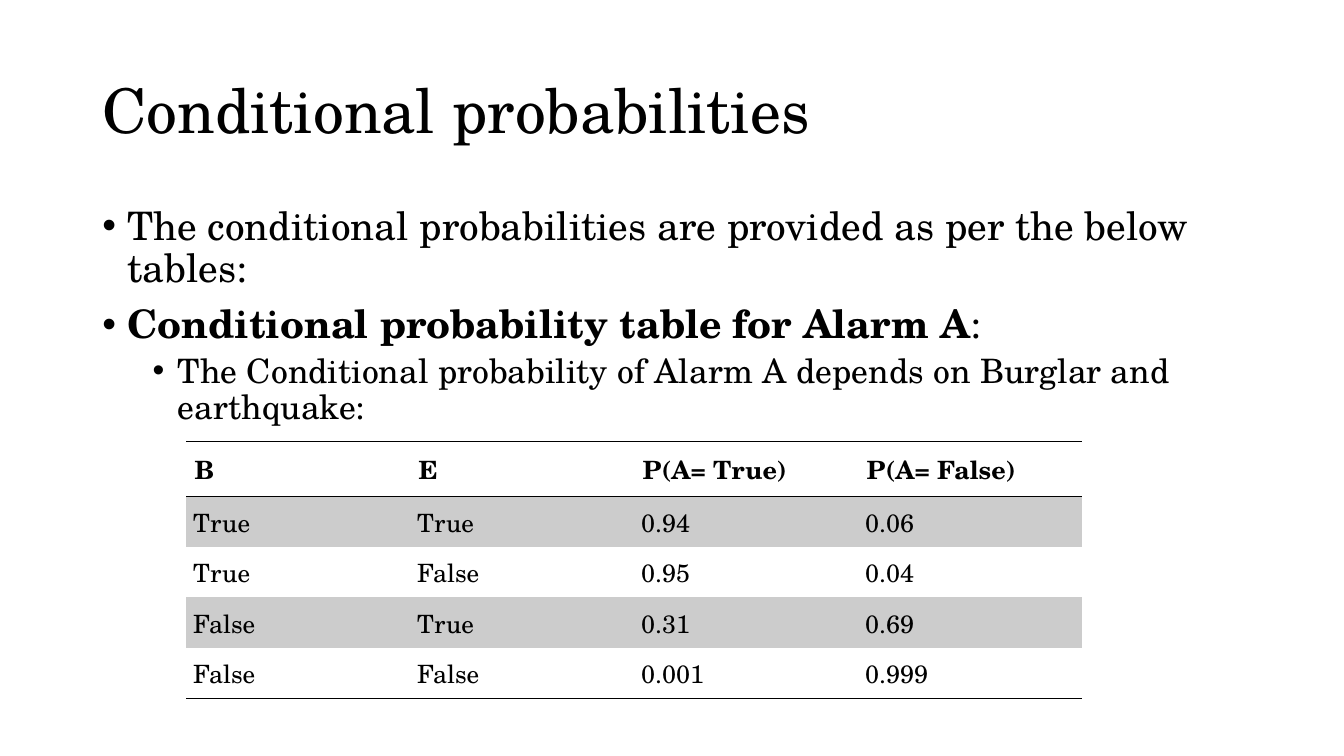
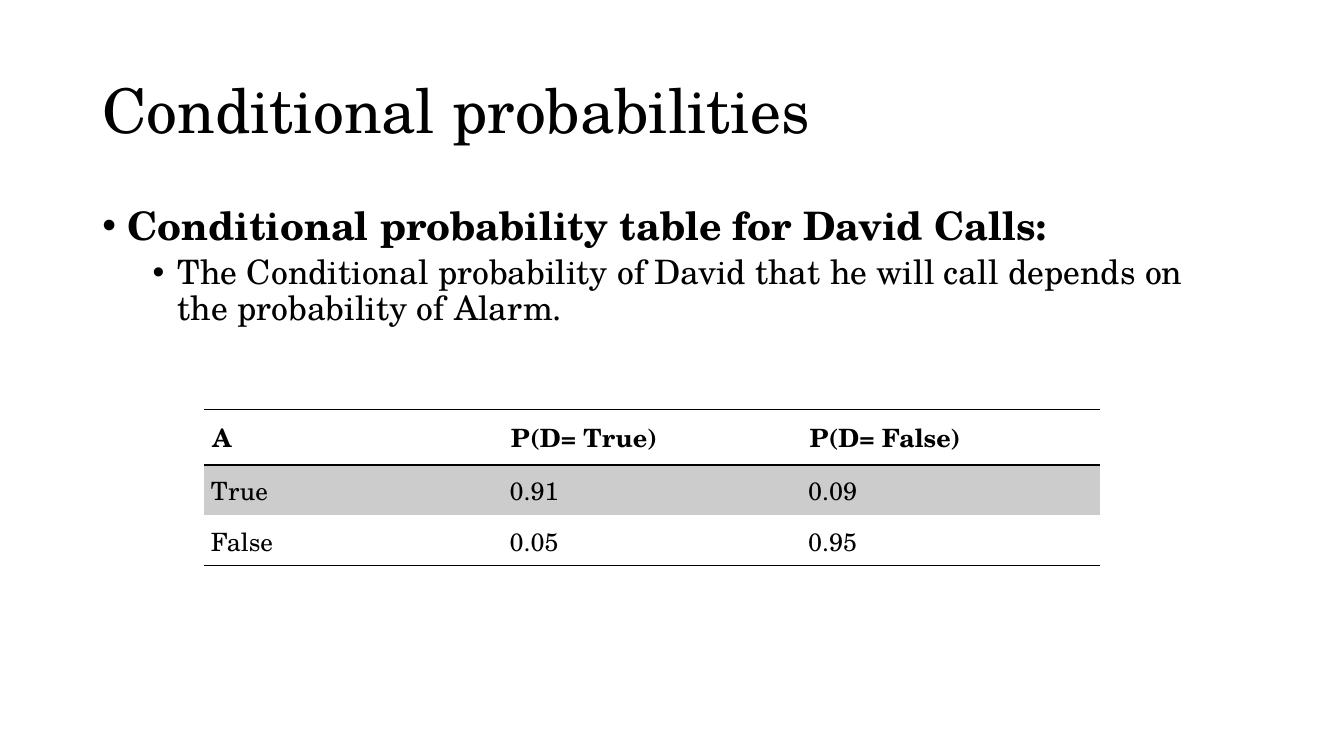
from dataclasses import dataclass

from lxml.etree import SubElement as Sub
from pptx import Presentation
from pptx.dml.color import RGBColor
from pptx.enum.text import MSO_ANCHOR as Anchor
from pptx.oxml.ns import qn
from pptx.slide import Slide
from pptx.table import _Cell as Cell
from pptx.text.text import TextFrame
from pptx.util import Pt

INK = RGBColor(0x00, 0x00, 0x00)
BAND = RGBColor(0xCC, 0xCC, 0xCC)
FONT = "TeX Gyre Schola"
PLAIN = "{2D5ABB26-0587-4C30-8999-92F81FD0307C}"  # no style, no grid

LEFT, WIDE = 66, 828
GRID_WIDE = 640
HEAD_HIGH, ROW_HIGH = 39.5, 36


@dataclass(frozen=True)
class Level:
    size: float
    margin: float
    before: float


LEVELS = (Level(28, 18, 10), Level(24, 54, 5))


@dataclass(frozen=True)
class Line:
    """A bullet: a bold lead, then plain text."""
    lead: str = ""
    rest: str = ""
    level: int = 0


@dataclass(frozen=True)
class Grid:
    left: float
    top: float
    rows: tuple[tuple[str, ...], ...]


@dataclass(frozen=True)
class Page:
    title: str
    lines: tuple[Line, ...]
    grid: Grid


PAGES = (
    Page(
        "Conditional probabilities",
        (
            Line(rest="The conditional probabilities are provided as per the below tables:"),
            Line("Conditional probability table for Alarm A", ":"),
            Line(rest="The Conditional probability of Alarm A depends on Burglar and earthquake:",
                 level=1),
        ),
        Grid(133, 315.3, (
            ("B", "E", "P(A= True)", "P(A= False)"),
            ("True", "True", "0.94", "0.06"),
            ("True", "False", "0.95", "0.04"),
            ("False", "True", "0.31", "0.69"),
            ("False", "False", "0.001", "0.999"),
        )),
    ),
    Page(
        "Conditional probabilities",
        (
            Line("Conditional probability table for David Calls:"),
            Line(rest="The Conditional probability of David that he will call depends on "
                      "the probability of Alarm.", level=1),
        ),
        Grid(145.7, 292.7, (
            ("A", "P(D= True)", "P(D= False)"),
            ("True", "0.91", "0.09"),
            ("False", "0.05", "0.95"),
        )),
    ),
)


def style(run, size: float, bold: bool = False) -> None:
    font = run.font
    font.name, font.size, font.bold = FONT, Pt(size), bold
    font.color.rgb = INK


def add_box(slide: Slide, top: float, high: float) -> TextFrame:
    box = slide.shapes.add_textbox(Pt(LEFT), Pt(top), Pt(WIDE), Pt(high))
    box.text_frame.word_wrap = True
    return box.text_frame


def add_title(slide: Slide, text: str) -> None:
    frame = add_box(slide, 28.75, 104.4)
    frame.vertical_anchor = Anchor.MIDDLE
    frame.text = text
    para = frame.paragraphs[0]
    para.line_spacing = 0.9
    style(para.runs[0], 44)


def add_lines(slide: Slide, lines: tuple[Line, ...]) -> None:
    frame = add_box(slide, 143.75, 342.6)
    for num, line in enumerate(lines):
        para = frame.add_paragraph() if num else frame.paragraphs[0]
        level = LEVELS[line.level]
        para.level = line.level
        para.line_spacing = 0.9
        para.space_before = Pt(level.before)
        props = para._p.get_or_add_pPr()
        props.set("marL", str(Pt(level.margin)))
        props.set("indent", str(-Pt(18)))
        Sub(props, qn("a:buFont"), typeface="Arial")
        Sub(props, qn("a:buChar"), char="•")
        for text, bold in ((line.lead, True), (line.rest, False)):
            if text:
                run = para.add_run()
                run.text = text
                style(run, level.size, bold)


def rule(cell: Cell, side: str) -> None:
    """Draw a thin line on one side of a cell: T or B."""
    edge = Sub(cell._tc.get_or_add_tcPr(), qn(f"a:ln{side}"), w=str(Pt(1)))
    Sub(Sub(edge, qn("a:solidFill")), qn("a:srgbClr"), val=str(INK))


def fill_cell(cell: Cell, text: str, row: int, last: int) -> None:
    head = row == 0
    cell.text = text
    style(cell.text_frame.paragraphs[0].runs[0], 18, head)
    pad = Pt(6 if head else 5)
    cell.margin_left = cell.margin_right = pad
    cell.margin_top = cell.margin_bottom = pad
    cell.vertical_anchor = Anchor.TOP if head else Anchor.MIDDLE
    if head:
        rule(cell, "T")
    if row in (0, last):
        rule(cell, "B")
    if row % 2:
        cell.fill.solid()
        cell.fill.fore_color.rgb = BAND
    else:
        cell.fill.background()


def add_grid(slide: Slide, grid: Grid) -> None:
    count, cols = len(grid.rows), len(grid.rows[0])
    high = HEAD_HIGH + ROW_HIGH * (count - 1)
    shape = slide.shapes.add_table(
        count, cols, Pt(grid.left), Pt(grid.top), Pt(GRID_WIDE), Pt(high))
    for mark in shape.element.iter(qn("a:tableStyleId")):
        mark.text = PLAIN
    table = shape.table
    table.horz_banding = False
    for col in table.columns:
        col.width = Pt(GRID_WIDE / cols)
    for row, texts in enumerate(grid.rows):
        table.rows[row].height = Pt(ROW_HIGH if row else HEAD_HIGH)
        for col, text in enumerate(texts):
            fill_cell(table.cell(row, col), text, row, count - 1)


def main() -> None:
    deck = Presentation()
    deck.slide_width, deck.slide_height = Pt(960), Pt(540)
    blank = deck.slide_layouts[6]
    for page in PAGES:
        slide = deck.slides.add_slide(blank)
        add_title(slide, page.title)
        add_lines(slide, page.lines)
        add_grid(slide, page.grid)
    deck.save("out.pptx")


if __name__ == "__main__":
    main()
